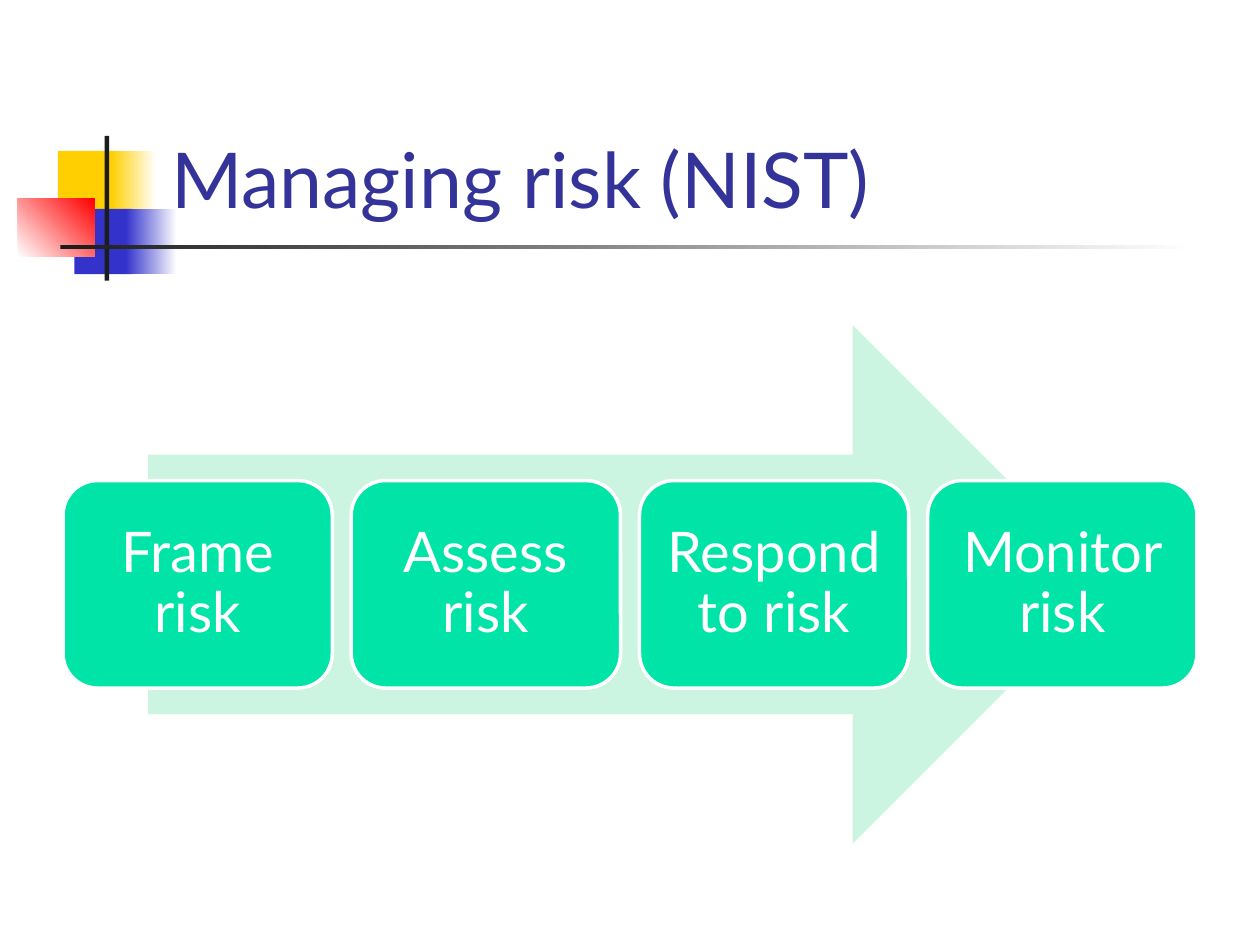
from pptx import Presentation
from pptx import util as u
from pptx.dml.color import RGBColor
from pptx.enum import shapes, text

COLOURS = {
    "yellow": "FFCF01", "blue": "3333CC", "red": "FF0000", "ink": "1C1C1C",
    "white": "FFFFFF", "title": "333399", "arrow": "CCF5E1", "card": "00E4A8",
}
FONT = "Lato"
STEPS = ["Frame risk", "Assess risk", "Respond to risk", "Monitor risk"]


def colour(name):
    return RGBColor.from_string(COLOURS[name])


def set_all(target, values):
    for name, value in values.items():
        setattr(target, name, value)


def add_block(slide, kind, box, fill, fade_to=None, angle=0):
    """Add a borderless shape, solid or fading from one colour to another."""
    shape = slide.shapes.add_shape(kind, *(u.Cm(length) for length in box))
    shape.shadow.inherit = False
    shape.line.fill.background()
    if fade_to:
        shape.fill.gradient()
        shape.fill.gradient_angle = angle
        for stop, name in zip(shape.fill.gradient_stops, (fill, fade_to)):
            stop.color.rgb = colour(name)
    else:
        shape.fill.solid()
        shape.fill.fore_color.rgb = colour(fill)
    return shape


def write_text(shape, words, size, ink, frame_format, paragraph_format):
    frame = shape.text_frame
    set_all(frame, {"word_wrap": True, **frame_format})
    paragraph = frame.paragraphs[0]
    set_all(paragraph, paragraph_format)
    run = paragraph.add_run()
    run.text = words
    set_all(run.font, {"name": FONT, "size": u.Pt(size)})
    run.font.color.rgb = colour(ink)


def add_ornament(slide, left, top, rule_width):
    """Add the overlapping colour squares and the crossed rules."""
    parts = [
        ((0.81, 0.3, 1.22, 1.32), "yellow"),
        ((1.88, 0.3, 0.91, 1.32), "yellow", "white"),
        ((1.14, 1.47, 1.17, 1.32), "blue"),
        ((2.18, 1.47, 1.02, 1.32), "blue", "white"),
        ((0, 1.27, 1.55, 1.17), "white", "red", 45),
        ((1.75, 0, 0.09, 2.92), "ink"),
        ((0.86, 2.2, rule_width, 0.09), "ink", "white"),
    ]
    for (x, y, width, height), *fill in parts:
        add_block(slide, shapes.MSO_SHAPE.RECTANGLE,
                  (left + x, top + y, width, height), *fill)


def add_title(slide, left, top, width, height):
    box = slide.shapes.add_textbox(*map(u.Cm, (left, top, width, height)))
    write_text(box, "Managing risk (NIST)", 44, "title",
               {"vertical_anchor": text.MSO_ANCHOR.BOTTOM}, {})


def add_process(slide, left, top, width, height):
    """Add a wide arrow with the steps in a row across its middle."""
    arrow_width = 0.85 * width
    add_block(slide, shapes.MSO_SHAPE.RIGHT_ARROW,
              (left + (width - arrow_width) / 2, top, arrow_width, height), "arrow")

    gap = width / 60
    card_width = (width - gap * (len(STEPS) - 1)) / len(STEPS)
    card_height = 0.4 * height
    inset = u.Cm(0.13)
    frame_format = {
        "vertical_anchor": text.MSO_ANCHOR.MIDDLE,
        "margin_left": inset, "margin_right": inset,
        "margin_top": inset, "margin_bottom": inset,
    }
    paragraph_format = {"alignment": text.PP_ALIGN.CENTER, "line_spacing": 0.9}
    for index, step in enumerate(STEPS):
        card = add_block(
            slide, shapes.MSO_SHAPE.ROUNDED_RECTANGLE,
            (left + index * (card_width + gap), top + (height - card_height) / 2,
             card_width, card_height), "card")
        card.line.color.rgb = colour("white")
        card.line.width = u.Pt(2)
        write_text(card, step, 32, "white", frame_format, paragraph_format)


def main():
    presentation = Presentation()
    set_all(presentation, {"slide_width": u.Cm(25.4), "slide_height": u.Cm(19.05)})
    slide = presentation.slides.add_slide(presentation.slide_layouts[6])
    add_ornament(slide, 0.36, 2.74, 22.86)
    add_title(slide, 3.2, 0.58, 21.64, 4.06)
    add_process(slide, 1.27, 6.55, 22.86, 10.46)
    presentation.save("out.pptx")


if __name__ == "__main__":
    main()
